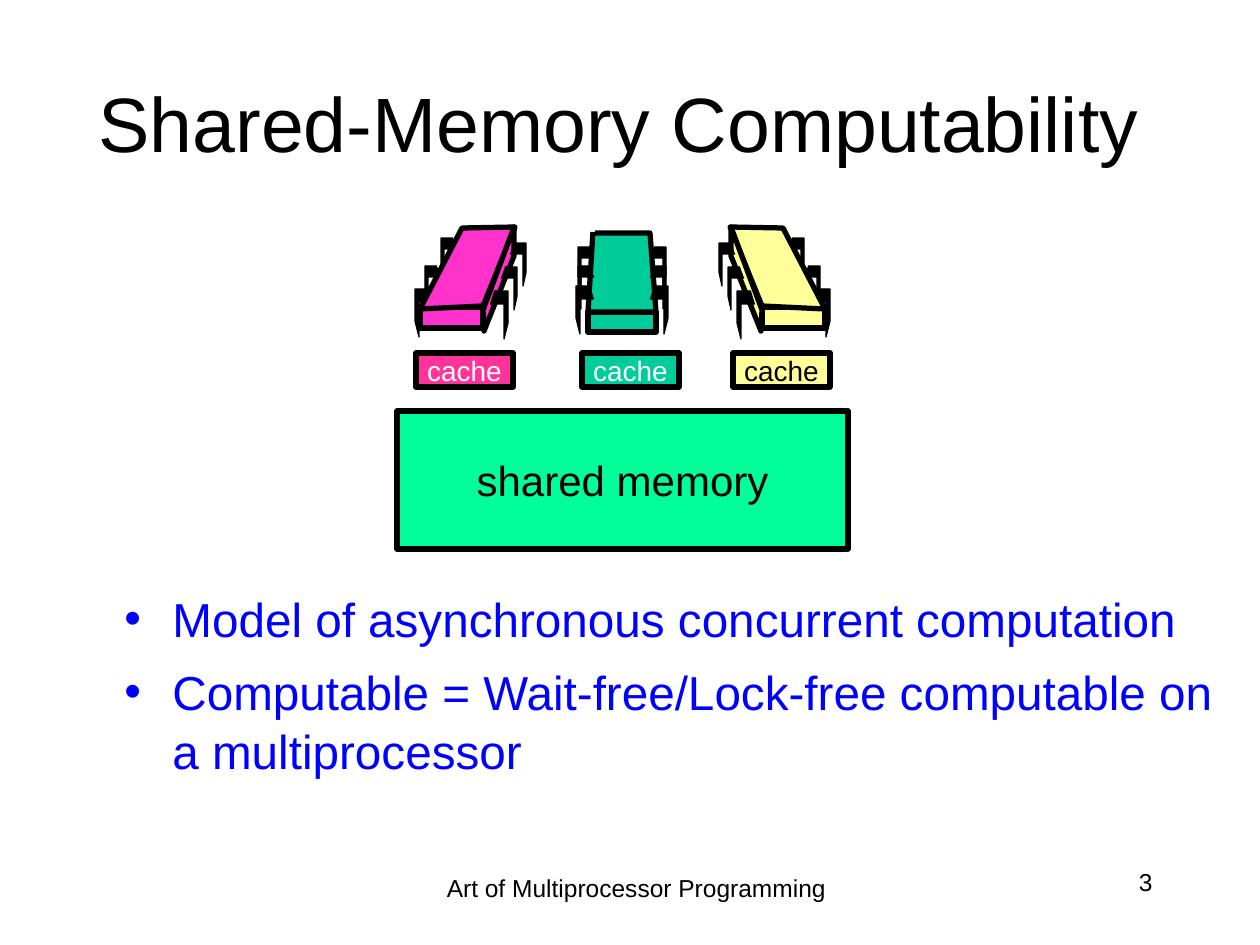
from lxml.etree import SubElement
from pptx import Presentation
from pptx.dml.color import RGBColor
from pptx.enum.shapes import MSO_SHAPE
from pptx.enum.text import MSO_ANCHOR, PP_ALIGN
from pptx.oxml.ns import qn
from pptx.util import Emu, Pt

SCALE = 914400 / 126
MIRROR_SUM = 1245
COLORS = {
    "black": "000000", "white": "FFFFFF", "blue": "0000FF", "magenta": "FF33CC",
    "pink": "FF3399", "teal": "00CC99", "yellow": "FFFF99", "green": "00FF99",
}
LONG_LEG = [(4, 0), (18, 0), (18, 32), (14, 48), (14, 13), (0, 13)]
SHORT_LEG = [(4, 0), (16, 0), (16, 29), (13, 43), (13, 11), (0, 11)]
LEG_OUTLINES = [LONG_LEG, SHORT_LEG, SHORT_LEG]
SLANTED_LEFT_LEGS = [(433, 289), (441, 266), (457, 238)]
SLANTED_RIGHT_LEGS = [(490, 291), (501, 267), (510, 243)]
SLANTED_TOP = [(420, 309), (483, 306), (515, 227), (462, 228)]
SLANTED_SIDE = [(514, 227), (514, 256), (484, 331), (483, 310)]
UPRIGHT_TOP = [(595, 233), (650, 233), (656, 312), (588, 312), (593, 232)]
UPRIGHT_LEG_TOPS = [286, 266, 247]


def px(value):
    return Emu(round(value * SCALE))


def rgb(color):
    return RGBColor.from_string(COLORS[color])


def set_values(target, values):
    for name, value in values.items():
        setattr(target, name, value)


def place(shape, left, top, width, height):
    set_values(shape, {"left": px(left), "top": px(top),
                       "width": px(width), "height": px(height)})


def write_text(shape, lines, size, color="black", align=PP_ALIGN.CENTER,
               anchor=MSO_ANCHOR.TOP, wrap=True):
    frame = shape.text_frame
    set_values(frame, {
        "word_wrap": wrap, "vertical_anchor": anchor,
        "margin_left": Pt(7.2), "margin_right": Pt(7.2),
        "margin_top": Pt(3.6), "margin_bottom": Pt(3.6),
    })
    for index, line in enumerate(lines):
        para = frame.add_paragraph() if index else frame.paragraphs[0]
        para.alignment = align
        span = para.add_run()
        span.text = line
        set_values(span.font, {"name": "Arial", "size": Pt(size)})
        span.font.color.rgb = rgb(color)
    return frame.paragraphs


def paint(shape, fill, line_width=3):
    shape.shadow.inherit = False
    shape.fill.solid()
    shape.fill.fore_color.rgb = rgb(fill)
    shape.line.color.rgb = rgb("black")
    shape.line.width = Pt(line_width)


def add_box(slide, bounds, fill):
    box = slide.shapes.add_shape(MSO_SHAPE.RECTANGLE, *map(px, bounds))
    paint(box, fill)
    return box


def add_outline(slide, points, fill, line_width=3, close=True):
    builder = slide.shapes.build_freeform(*points[0], scale=SCALE)
    builder.add_line_segments(points[1:], close=close)
    paint(builder.convert_to_shape(), fill, line_width)


def add_legs(slide, corners, side):
    for (left, top), outline in zip(corners, LEG_OUTLINES):
        points = [(left + side * x, top + y) for x, y in outline]
        add_outline(slide, points, "black", 0.75, close=False)


def add_slanted_table(slide, color, mirrored=False):
    side = -1 if mirrored else 1

    def turn(points):
        return [(MIRROR_SUM - x if mirrored else x, y) for x, y in points]

    front_left = MIRROR_SUM - 483 if mirrored else 420
    add_box(slide, (front_left, 307, 63, 21), color)
    add_legs(slide, turn(SLANTED_LEFT_LEGS), -side)
    add_outline(slide, turn(SLANTED_TOP), color)
    add_outline(slide, turn(SLANTED_SIDE), color)
    add_legs(slide, turn(SLANTED_RIGHT_LEGS), side)


def add_upright_table(slide, color):
    add_box(slide, (588, 312, 68, 20), color)
    add_outline(slide, UPRIGHT_TOP, color, close=False)
    for left, side in ((650, 1), (594, -1)):
        add_legs(slide, [(left, top) for top in UPRIGHT_LEG_TOPS], side)


def add_label_box(slide, bounds, fill, label, size, color="black"):
    box = add_box(slide, bounds, fill)
    write_text(box, [label], size, color, anchor=MSO_ANCHOR.MIDDLE, wrap=False)


def add_text(slide, bounds, lines, size, **options):
    box = slide.shapes.add_textbox(*map(px, bounds))
    return write_text(box, lines, size, **options)


def add_bullet(para, color):
    properties = para._p.get_or_add_pPr()
    properties.set("marL", str(px(48)))
    properties.set("indent", str(-px(48)))
    bullet_color = SubElement(properties, qn("a:buClr"))
    SubElement(bullet_color, qn("a:srgbClr"), val=COLORS[color])
    SubElement(properties, qn("a:buFont"), typeface="Arial")
    SubElement(properties, qn("a:buChar"), char="•")


def main():
    deck = Presentation()
    set_values(deck, {"slide_width": px(1260), "slide_height": px(945)})
    slide = deck.slides.add_slide(deck.slide_layouts[5])
    title = slide.shapes.title
    place(title, 42, 43, 1154, 158)
    write_text(title, ["Shared-Memory Computability"], 44, anchor=MSO_ANCHOR.MIDDLE)

    bullets = add_text(slide, (112, 581, 1148, 257), [
        "Model of asynchronous concurrent computation",
        "Computable = Wait-free/Lock-free computable on a multiprocessor",
    ], 27.2, color="blue", align=PP_ALIGN.LEFT)
    for para in bullets:
        add_bullet(para, "blue")
        para.line_spacing = 1.04
    bullets[1].space_before = Pt(8)

    add_upright_table(slide, "teal")
    add_slanted_table(slide, "magenta")
    add_slanted_table(slide, "yellow", mirrored=True)
    add_label_box(slide, (397, 411, 451, 138), "green", "shared memory", 24)
    for left, fill, color in ((416, "pink", "white"), (582, "teal", "white"),
                              (733, "yellow", "black")):
        add_label_box(slide, (left, 353, 97, 34), fill, "cache", 16, color)

    add_text(slide, (903, 861, 262, 63), ["3"], 14, align=PP_ALIGN.RIGHT)
    add_text(slide, (407, 867, 459, 63), ["Art of Multiprocessor Programming"], 14)
    deck.save("out.pptx")


if __name__ == "__main__":
    main()
